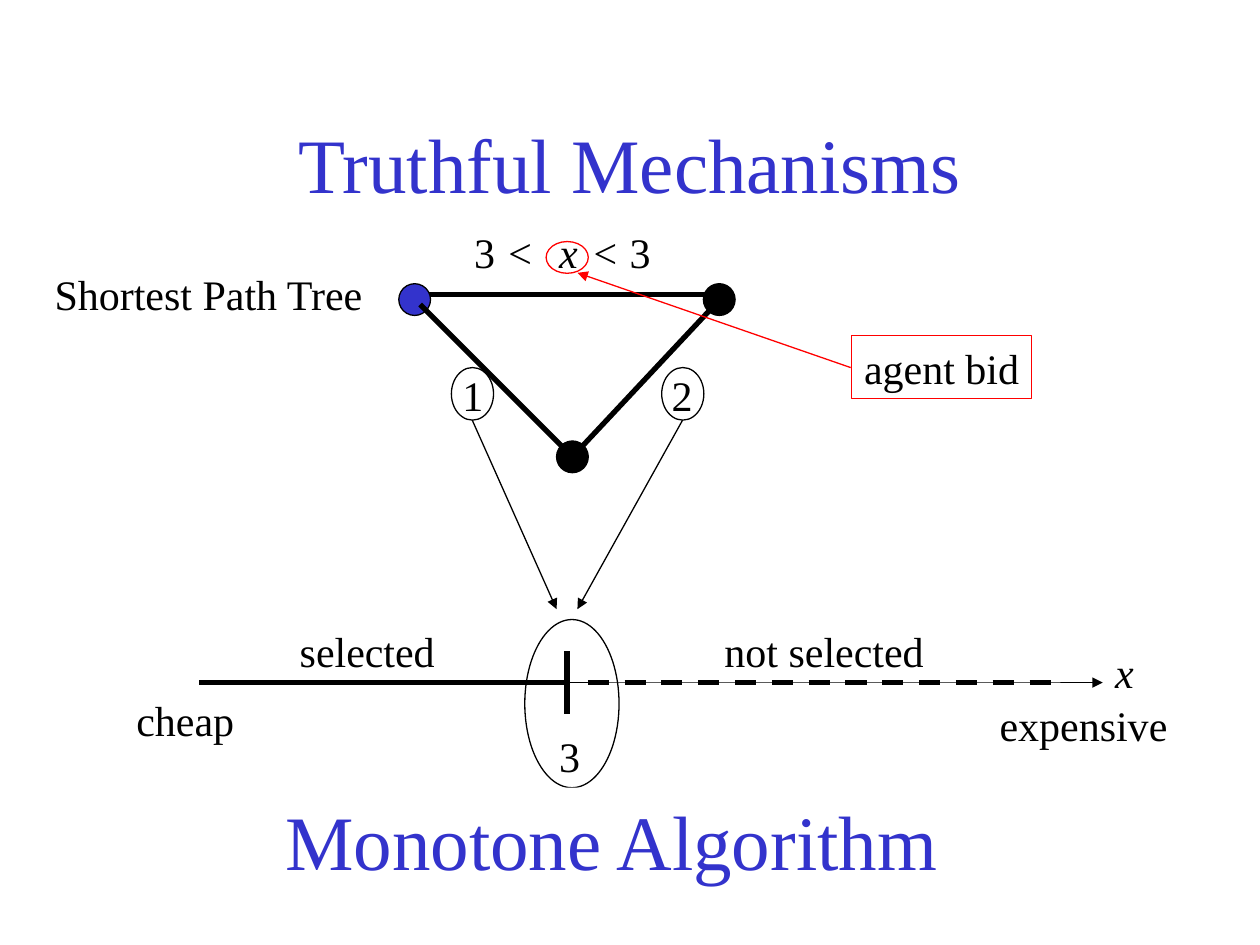
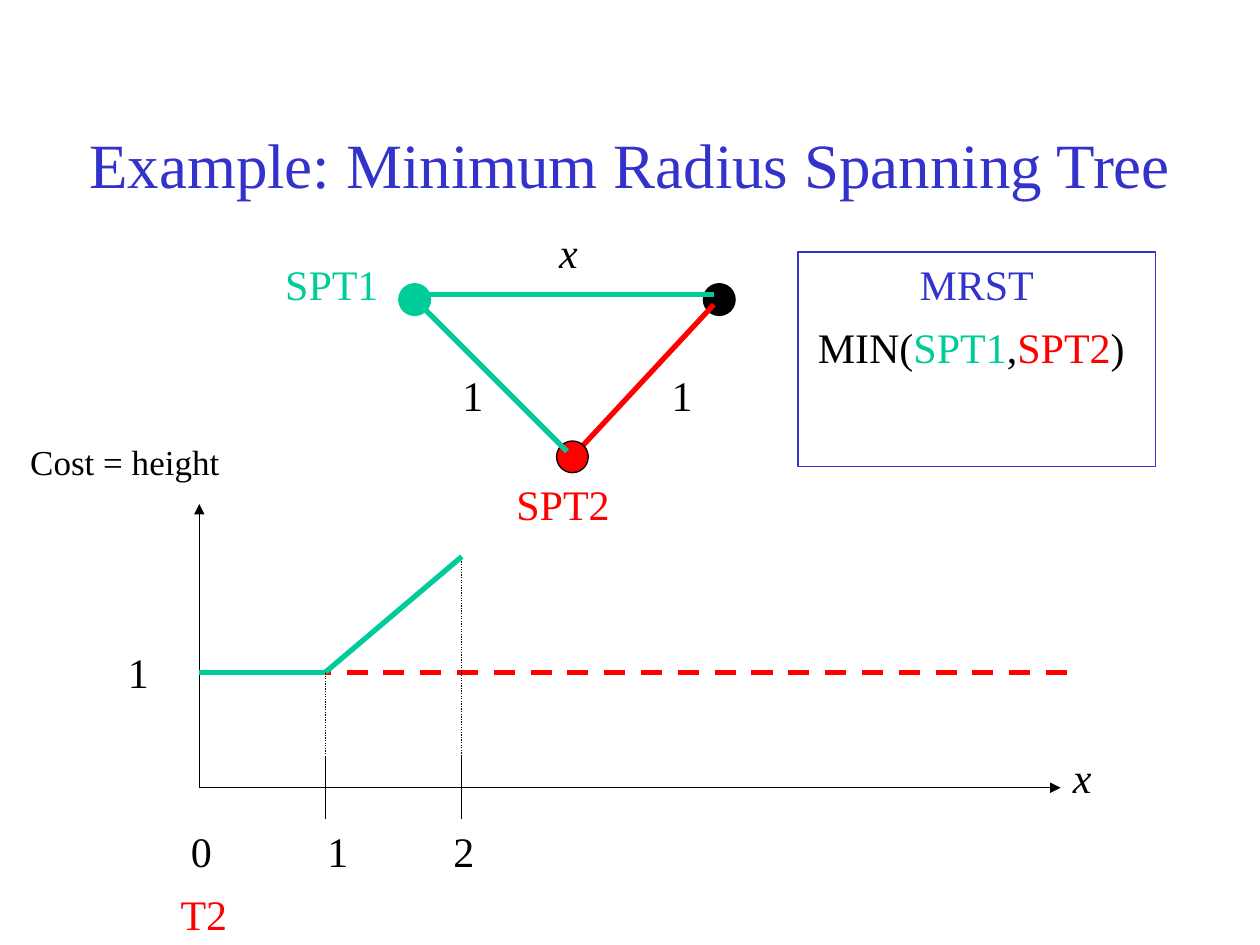
from lxml import etree
from pptx import Presentation
from pptx import util as u
from pptx.dml import color as dml_color
from pptx.enum import dml, shapes, text
from pptx.oxml import ns

COLOURS = {"ink": "000000", "paper": "FFFFFF", "title": "3333CC", "red": "FF0000", "green": "00CC99"}
FONT = "Times New Roman"
OVAL = shapes.MSO_SHAPE.OVAL
RECTANGLE = shapes.MSO_SHAPE.RECTANGLE
DASH = dml.MSO_LINE.DASH
DOT = dml.MSO_LINE.ROUND_DOT
CENTER = text.PP_ALIGN.CENTER
LEFT = text.PP_ALIGN.LEFT


def add_box(slide, place, runs=(), kind=None, fill=None, line=None, size=24, align=LEFT, anchor=text.MSO_ANCHOR.TOP):
    lengths = [u.Cm(value) for value in place]
    if kind is None:
        shape = slide.shapes.add_textbox(*lengths)
    else:
        shape = slide.shapes.add_shape(kind, *lengths)
        shape.shadow.inherit = False
        for part, colour in ((shape.fill, fill), (shape.line.fill, line)):
            if colour:
                part.solid()
                part.fore_color.rgb = dml_color.RGBColor.from_string(COLOURS[colour])
            else:
                part.background()
        if line:
            shape.line.width = u.Pt(0.75)
    if not runs:
        return
    frame = shape.text_frame
    frame.word_wrap = align == CENTER
    frame.vertical_anchor = anchor
    frame.text = runs[0][0]
    paragraph = frame.paragraphs[0]
    paragraph.alignment = align
    for words, *style in runs[1:]:
        paragraph.add_run().text = words
    for run, (words, colour, italic) in zip(paragraph.runs, runs):
        run.font.name = FONT
        run.font.size = u.Pt(size)
        run.font.italic = italic
        run.font.color.rgb = dml_color.RGBColor.from_string(COLOURS[colour])


def add_line(slide, start, end, colour="ink", width=0.75, dash=None, arrow=False):
    connector = slide.shapes.add_connector(shapes.MSO_CONNECTOR.STRAIGHT, *[u.Cm(value) for value in start + end])
    connector.line.color.rgb = dml_color.RGBColor.from_string(COLOURS[colour])
    connector.line.width = u.Pt(width)
    if dash:
        connector.line.dash_style = dash
    if arrow:
        etree.SubElement(connector._element.spPr.find(ns.qn("a:ln")), ns.qn("a:tailEnd"), type="triangle")
    etree.SubElement(connector._element.spPr, ns.qn("a:effectLst"))


presentation = Presentation()
presentation.slide_width = u.Cm(25.4)
presentation.slide_height = u.Cm(19.05)

NODE = 0.64
LEFT_NODE = (8.04, 5.72, NODE, NODE)
RIGHT_NODE = (14.18, 5.72, NODE, NODE)
BOTTOM_NODE = (11.22, 8.89, NODE, NODE)
LEFT_TOP = (8.26, 5.93)
RIGHT_TOP = (14.61, 5.93)
BOTTOM = (11.64, 9.1)
LEFT_EDGE = ((8.47, 6.14), (11.43, 9.1))

slides = []
for title, size, left, width, right_cost in (
    ("Truthful Mechanisms", 44, 1.9, 21.6, "2"),
    ("Example: Minimum Radius Spanning Tree", 36, 0, 25.4, "1"),
):
    slide = presentation.slides.add_slide(presentation.slide_layouts[6])
    slides.append(slide)
    add_box(slide, (left, 1.7, width, 3.18), [(title, "title", False)], size=size, align=CENTER,
            anchor=text.MSO_ANCHOR.MIDDLE)
    for start, end in ((LEFT_TOP, (11.64, 9.31)), (BOTTOM, RIGHT_TOP), (LEFT_TOP, RIGHT_TOP)):
        add_line(slide, start, end)
    add_box(slide, RIGHT_NODE, kind=OVAL, fill="ink", line="ink")
    for words, x, y, italic in (("1", 9.07, 7.32, False), (right_cost, 13.29, 7.32, False), ("x", 11.02, 4.45, True)):
        add_box(slide, (x, y, 0.95, 1.27), [(words, "ink", italic)])

mechanisms, spanning_tree = slides

add_line(mechanisms, LEFT_TOP, RIGHT_TOP, width=3)
add_box(mechanisms, BOTTOM_NODE, kind=OVAL, fill="ink", line="ink")
add_box(mechanisms, LEFT_NODE, kind=OVAL, fill="title", line="ink")
for start, end in (LEFT_EDGE, (BOTTOM, RIGHT_TOP)):
    add_line(mechanisms, start, end, width=3)

AXIS = 13.76
add_line(mechanisms, (4.02, AXIS), (22.23, AXIS), arrow=True)
for words, left, width in (("selected", 4.02, 6.77), ("not selected", 11.85, 9.53)):
    add_box(mechanisms, (left, 12.49, width, 1.27), [(words, "ink", False)], kind=RECTANGLE, fill="paper",
            align=CENTER)
add_line(mechanisms, (4.02, AXIS), (11.43, AXIS), width=3)
add_line(mechanisms, (11.85, AXIS), (21.38, AXIS), width=3, dash=DASH)
add_line(mechanisms, (11.43, 14.39), (11.43, 13.12), width=3)

for runs, left, top, width in (
    ([("3", "ink", False), (" <", "ink", True)], 9.31, 4.45, 2.1),
    ([("< ", "ink", True), ("3", "ink", False)], 11.66, 4.45, 2.1),
    ([("Shortest Path Tree", "ink", False)], 0.85, 5.29, 6.9),
    ([("cheap", "ink", False)], 2.5, 13.87, 2.7),
    ([("expensive", "ink", False)], 19.9, 13.97, 4.1),
    ([("x", "ink", True)], 22.23, 12.91, 0.95),
    ([("3", "ink", False)], 11.02, 14.61, 0.95),
):
    add_box(mechanisms, (left, top, width, 1.27), runs)

add_box(mechanisms, (17.17, 6.77, 3.63, 1.27), [("agent bid", "ink", False)], kind=RECTANGLE, line="red")
add_box(mechanisms, (11.01, 4.87, 0.85, 0.64), kind=OVAL, line="red")
add_line(mechanisms, (17.15, 7.41), (11.64, 5.5), colour="red", arrow=True)

for cost_left, threshold in ((9.1, 11.22), (13.34, 11.64)):
    add_box(mechanisms, (cost_left, 7.41, 0.85, 1.06), kind=OVAL, line="ink")
    add_line(mechanisms, (cost_left + 0.42, 8.47), (threshold, 12.28), arrow=True)
add_box(mechanisms, (10.58, 12.49, 1.9, 3.39), kind=OVAL, line="ink")
add_box(mechanisms, (5.5, 15.88, 13.75, 2.13), [("Monotone Algorithm", "title", False)], kind=RECTANGLE,
        fill="paper", size=44)

ORIGIN = (4.02, 15.88)
UNIT_COST = 13.55
PEAK = 11.22
FIRST, SECOND = 6.56, 9.31
add_line(spanning_tree, (ORIGIN[0], UNIT_COST), (21.59, UNIT_COST), colour="red", width=3, dash=DASH)
for end in ((21.38, ORIGIN[1]), (ORIGIN[0], 10.16)):
    add_line(spanning_tree, ORIGIN, end, arrow=True)
for x, drop_bottom, drop_top in ((FIRST, 15.88, UNIT_COST), (SECOND, 15.66, PEAK)):
    add_line(spanning_tree, (x, 16.51), (x, 15.24))
    add_line(spanning_tree, (x, drop_bottom), (x, drop_top), dash=DOT)
for start, end in (((ORIGIN[0], UNIT_COST), (FIRST, UNIT_COST)), ((FIRST, UNIT_COST), (SECOND, PEAK))):
    add_line(spanning_tree, start, end, colour="green", width=3)

add_line(spanning_tree, BOTTOM, (14.39, 6.14), colour="red", width=3)
add_box(spanning_tree, BOTTOM_NODE, kind=OVAL, fill="red", line="ink")
for start, end in (((8.47, 5.93), (14.39, 5.93)), LEFT_EDGE):
    add_line(spanning_tree, start, end, colour="green", width=3)
add_box(spanning_tree, LEFT_NODE, kind=OVAL, fill="green", line="green")

for words, colour, left, top, width in (
    ("x", "ink", 21.38, 15.03, 0.95),
    ("0", "ink", 3.6, 16.51, 0.95),
    ("1", "ink", 6.35, 16.51, 0.95),
    ("2", "ink", 8.89, 16.51, 0.95),
    ("1", "ink", 2.33, 12.91, 0.95),
    ("T2", "red", 3.39, 17.78, 1.6),
    ("SPT1", "green", 5.5, 5.08, 2.5),
    ("SPT2", "red", 10.16, 9.53, 2.5),
):
    add_box(spanning_tree, (left, top, width, 1.27), [(words, colour, words == "x")])
add_box(spanning_tree, (0.36, 8.76, 4.5, 1.12), [("Cost = height", "ink", False)], size=20)

minimum = [("MIN(", "ink", False), ("SPT1", "green", False), (",", "ink", False), ("SPT2", "red", False),
           (")", "ink", False)]
add_box(spanning_tree, (15.45, 6.35, 8.26, 1.27), minimum, kind=RECTANGLE, fill="paper", align=CENTER)
add_box(spanning_tree, (16.09, 5.08, 7.2, 4.32), [("MRST", "title", False)], kind=RECTANGLE, line="title",
        align=CENTER)

presentation.save("out.pptx")
